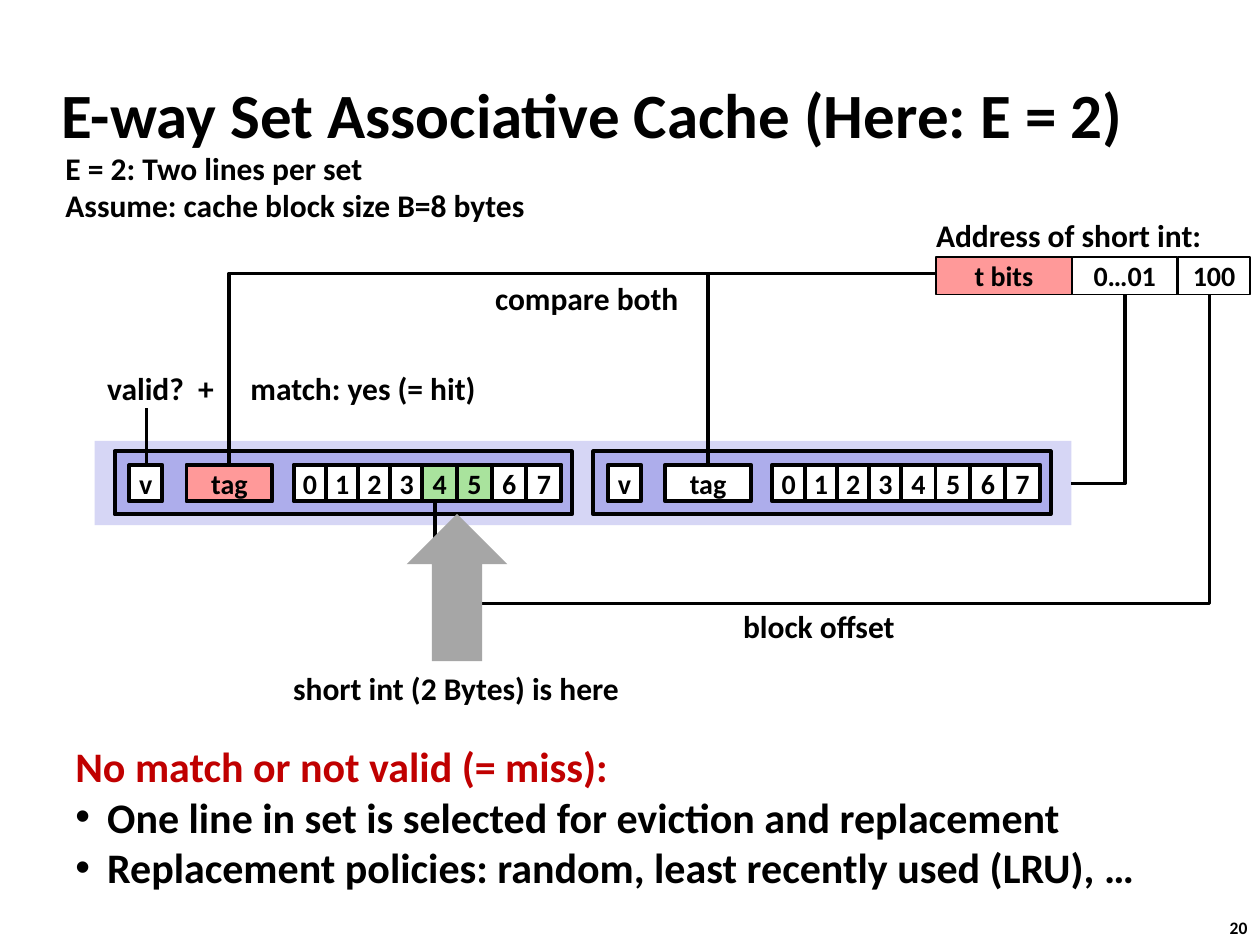
from dataclasses import dataclass

from lxml.etree import SubElement
from pptx import Presentation
from pptx.dml.color import RGBColor
from pptx.enum.shapes import MSO_CONNECTOR, MSO_SHAPE
from pptx.enum.text import MSO_ANCHOR, PP_ALIGN
from pptx.oxml.ns import qn
from pptx.util import Cm, Pt


@dataclass(frozen=True)
class Theme:
    font: str = "Calibri"
    ink: str = "000000"
    paper: str = "FFFFFF"
    alert: str = "C00000"
    tag: str = "FF9999"
    hit: str = "A9E39D"
    cache_set: str = "D6D6F5"
    way: str = "ADADEB"
    pointer: str = "A6A6A6"
    title_size: int = 36
    list_size: int = 24
    label_size: int = 18
    cell_size: int = 16
    page_size: int = 10
    wire: float = 2
    border: float = 2.25
    thin_border: float = 1


THEME = Theme()
CELL_TOP, CELL_HEIGHT = 9.37, 0.74
WAY_LEFTS = (2.31, 11.96)
LABELS = (
    ("Address of short int:", 18.62, 4.24, 5.92),
    ("compare both", 9.73, 5.51, 4.24),
    ("valid?  +", 1.91, 7.32, 2.84),
    ("match: yes (= hit)", 4.8, 7.32, 5.11),
    ("block offset", 14.73, 12.12, 3.61),
    ("short int (2 Bytes) is here", 5.66, 13.36, 7.14),
)
ADDRESS_FIELDS = (
    ("t bits", 18.87, 2.74, THEME.tag),
    ("0…01", 21.62, 2.11, THEME.paper),
    ("100", 23.75, 1.45, THEME.paper),
)


def apply_format(target, values):
    for name, value in values.items():
        setattr(target, name, value)


def write(para, text, size, color=THEME.ink):
    span = para.add_run()
    span.text = text
    apply_format(span.font, {"name": THEME.font, "size": Pt(size), "bold": True})
    span.font.color.rgb = RGBColor.from_string(color)


def add_text(page, lines, left, top, width, height, size, wrap=False):
    box = page.shapes.add_textbox(Cm(left), Cm(top), Cm(width), Cm(height))
    frame = box.text_frame
    frame.word_wrap = wrap
    for index, line in enumerate(lines):
        para = frame.paragraphs[0] if index == 0 else frame.add_paragraph()
        write(para, line, size)
    return frame


def add_block(page, left, top, width, height, fill, border=None, kind=MSO_SHAPE.RECTANGLE):
    block = page.shapes.add_shape(kind, Cm(left), Cm(top), Cm(width), Cm(height))
    block.shadow.inherit = False
    block.fill.solid()
    block.fill.fore_color.rgb = RGBColor.from_string(fill)
    if border:
        block.line.color.rgb = RGBColor.from_string(THEME.ink)
        block.line.width = Pt(border)
    else:
        block.line.fill.background()
    return block


def add_cell(page, text, left, top, width, height, fill, border):
    cell = add_block(page, left, top, width, height, fill, border)
    apply_format(cell.text_frame, {"word_wrap": False, "vertical_anchor": MSO_ANCHOR.MIDDLE})
    para = cell.text_frame.paragraphs[0]
    para.alignment = PP_ALIGN.CENTER
    write(para, text, THEME.cell_size)


def add_wire(page, start, end, kind=MSO_CONNECTOR.STRAIGHT):
    wire = page.shapes.add_connector(kind, *(Cm(value) for value in start + end))
    wire.line.color.rgb = RGBColor.from_string(THEME.ink)
    wire.line.width = Pt(THEME.wire)
    properties = wire._element.spPr
    SubElement(properties, qn("a:effectLst"))
    return properties


def add_corner(page, start, end):
    properties = add_wire(page, start, end, MSO_CONNECTOR.ELBOW)
    properties.find(qn("a:prstGeom")).set("prst", "bentConnector2")


def add_hook(page, start, end, bend):
    properties = add_wire(page, start, end, MSO_CONNECTOR.ELBOW)
    properties.find(qn("a:xfrm")).set("rot", "5400000")
    adjustments = properties.find(qn("a:prstGeom")).find(qn("a:avLst"))
    SubElement(adjustments, qn("a:gd"), name="adj1", fmla=f"val {bend}")


def add_way(page, left, tag_fill, hit_bytes):
    add_block(page, left, 9.1, 9.22, 1.27, THEME.way, THEME.border)
    cells = [("v", 0.3, 0.66, THEME.paper), ("tag", 1.45, 1.73, tag_fill)]
    for number in range(8):
        fill = THEME.hit if number in hit_bytes else THEME.paper
        if number < 4:
            cells.append((str(number), 3.61 + 0.65 * number, 0.66, fill))
        else:
            cells.append((str(number), 6.2 + 0.7 * (number - 4), 0.71, fill))
    for text, offset, width, fill in cells:
        add_cell(page, text, left + offset, CELL_TOP, width, CELL_HEIGHT, fill, THEME.border)


def add_wires(page):
    add_corner(page, (21.59, 9.75), (22.68, 5.92))
    add_hook(page, (14.48, 0.23), (18.67, 15.85), 148400)
    for left in WAY_LEFTS:
        add_corner(page, (18.87, 5.51), (left + 2.31, 9.35))
    add_wire(page, (2.95, 8.23), (2.95, 9.35))


def add_miss_rules(page):
    lines = (
        "No match or not valid (= miss):",
        "One line in set is selected for eviction and replacement",
        "Replacement policies: random, least recently used (LRU), …",
    )
    frame = add_text(page, lines, 1.27, 14.81, 22.17, 3.33, THEME.list_size)
    heading, *bullets = frame.paragraphs
    heading.runs[0].font.color.rgb = RGBColor.from_string(THEME.alert)
    for para in bullets:
        properties = para._p.get_or_add_pPr()
        properties.set("marL", str(Cm(0.64)))
        properties.set("indent", str(-Cm(0.64)))
        SubElement(properties, qn("a:buFont"), typeface="Arial")
        SubElement(properties, qn("a:buChar"), char="•")


def main():
    deck = Presentation()
    apply_format(deck, {"slide_width": Cm(25.4), "slide_height": Cm(19.05)})
    page = deck.slides.add_slide(deck.slide_layouts[6])

    title = add_text(page, ["E-way Set Associative Cache (Here: E = 2)"],
                     0.99, 1.22, 22.12, 2.11, THEME.title_size, wrap=True)
    title.vertical_anchor = MSO_ANCHOR.MIDDLE
    add_text(page, ["E = 2: Two lines per set", "Assume: cache block size B=8 bytes"],
             1.07, 2.87, 9.86, 1.8, THEME.label_size)
    for text, left, width, fill in ADDRESS_FIELDS:
        add_cell(page, text, left, 5.18, width, 0.76, fill, THEME.thin_border)

    add_block(page, 1.91, 8.89, 19.69, 1.7, THEME.cache_set)
    for left, tag_fill, hit_bytes in zip(WAY_LEFTS, (THEME.tag, THEME.paper), ((4, 5), ())):
        add_way(page, left, tag_fill, hit_bytes)
    add_wires(page)
    add_block(page, 8.2, 10.36, 2.03, 2.97, THEME.pointer, kind=MSO_SHAPE.UP_ARROW)

    for text, left, top, width in LABELS:
        add_text(page, [text], left, top, width, 1.02, THEME.label_size)
    add_miss_rules(page)
    add_text(page, ["20"], 24.54, 18.36, 0.94, 0.69, THEME.page_size)
    deck.save("out.pptx")


if __name__ == "__main__":
    main()
